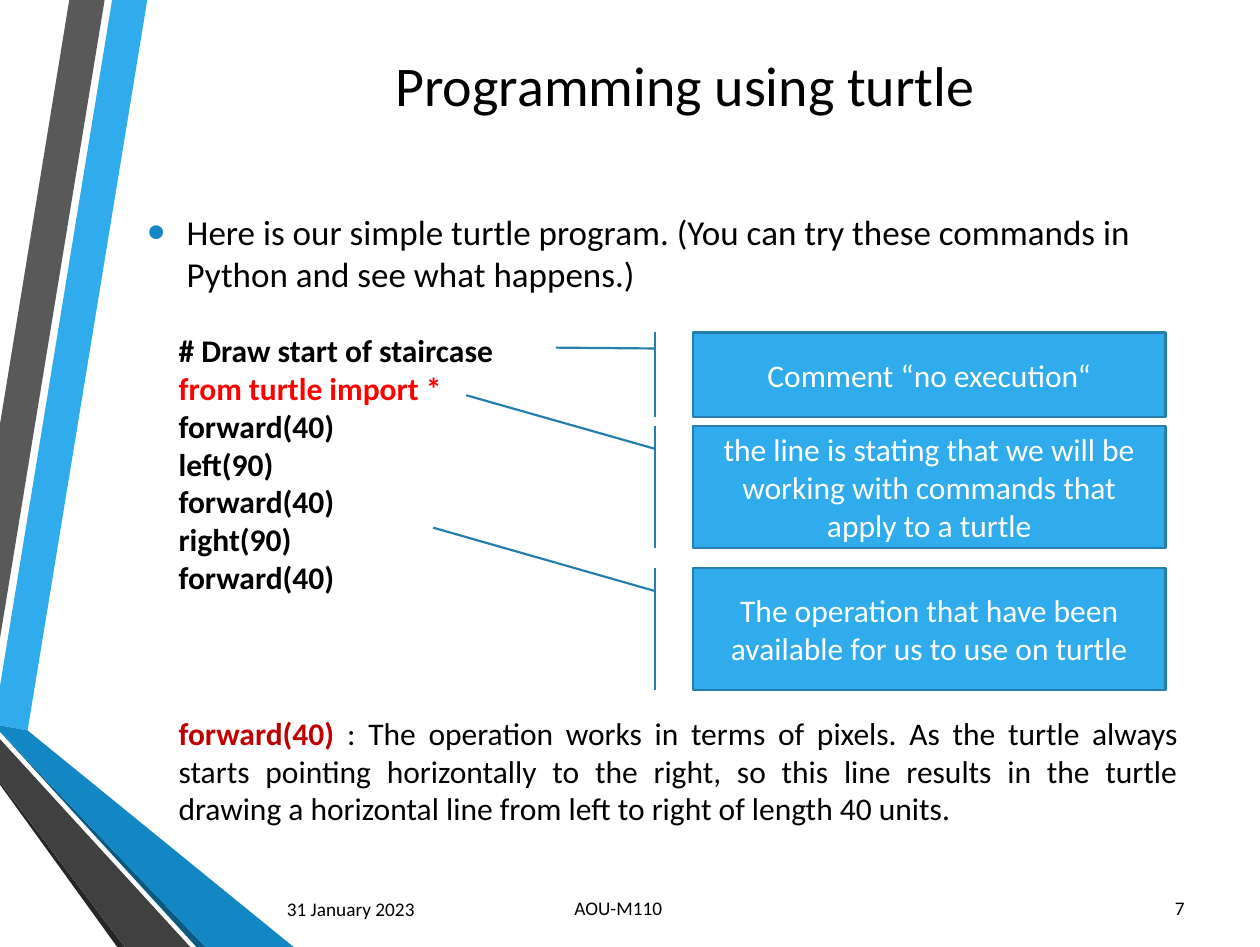
from lxml.etree import SubElement
from pptx import Presentation
from pptx.dml.color import RGBColor
from pptx.enum.shapes import MSO_SHAPE
from pptx.enum.text import MSO_ANCHOR, MSO_AUTO_SIZE, PP_ALIGN
from pptx.oxml.ns import qn
from pptx.util import Pt

BLACK = RGBColor(0x00, 0x00, 0x00)
WHITE = RGBColor(0xFF, 0xFF, 0xFF)
RED = RGBColor(0xFF, 0x00, 0x00)
DARK_RED = RGBColor(0xC0, 0x00, 0x00)
SKY = RGBColor(0x30, 0xAC, 0xEC)
BLUE = RGBColor(0x12, 0x87, 0xC3)
NAVY = RGBColor(0x0C, 0x5A, 0x82)
OUTLINE = RGBColor(0x24, 0x7F, 0xAF)
GREY = RGBColor(0x59, 0x59, 0x59)
CHARCOAL = RGBColor(0x40, 0x40, 0x40)
SOOT = RGBColor(0x26, 0x26, 0x26)

RIBBONS = [
    (SKY, [(0, 392.4), (0, 414.7), (15.8, 417.6), (84.2, 0), (64.1, 0)]),
    (GREY, [(59.8, 0), (39.6, 0), (0, 242.6), (0, 365)]),
    (SOOT, [(0, 447.1), (0, 448.6), (67, 541.4), (71.3, 541.4)]),
    (NAVY, [(0, 418.3), (112.3, 541.4), (117.4, 541.4)]),
    (BLUE, [(0, 418.3), (117.4, 541.4), (167.8, 541.4), (15.8, 417.6), (0, 414.7)]),
    (CHARCOAL, [(0, 447.1), (71.3, 541.4), (108.7, 541.4), (0, 422.6)]),
]
CALLOUTS = [
    (190.1, 48.2, 0.18, -0.29, "Comment “no execution“"),
    (243.4, 69.8, -0.25, -0.48,
     "the line is stating that we will be working with commands that apply to a turtle"),
    (324.7, 69.8, -0.33, -0.55,
     "The operation that have been available for us to use on turtle"),
]
CODE = ["# Draw start of staircase", "from turtle import *", "forward(40)", "left(90)",
        "forward(40)", "right(90)", "forward(40)"]
FOOTERS = [
    (650.2, 504.7, 33.8, PP_ALIGN.RIGHT, "7"),
    (139, 505.4, 105.1, PP_ALIGN.RIGHT, "31 January 2023"),
    (321.1, 504.7, 80.6, PP_ALIGN.LEFT, "AOU-M110"),
]


def add_run(p, text, size, color=BLACK, bold=False):
    """Add one formatted run to a paragraph."""
    r = p.add_run()
    r.text = text
    r.font.name = "Calibri"
    r.font.size = Pt(size)
    r.font.bold = bold
    r.font.color.rgb = color


def place(sp, left, top, width, height):
    """Position a shape, in points."""
    sp.left, sp.top, sp.width, sp.height = Pt(left), Pt(top), Pt(width), Pt(height)


def add_ribbon(s, color, points):
    """Draw one filled polygon of the side decoration."""
    corners = [(Pt(x), Pt(y)) for x, y in points]
    fb = s.shapes.build_freeform(*corners[0])
    fb.add_line_segments(corners[1:], close=True)
    sp = fb.convert_to_shape()
    sp.shadow.inherit = False
    sp.fill.solid()
    sp.fill.fore_color.rgb = color
    sp.line.fill.background()


def fill_title(sp, text):
    """Place and fill the title placeholder."""
    place(sp, 77, 8.6, 629.3, 79.2)
    tf = sp.text_frame
    tf.auto_size = MSO_AUTO_SIZE.NONE
    tf.vertical_anchor = MSO_ANCHOR.MIDDLE
    p = tf.paragraphs[0]
    p.alignment = PP_ALIGN.CENTER
    add_run(p, text, 32)


def fill_body(sp, text):
    """Place and fill the body placeholder with one bulleted paragraph."""
    place(sp, 77, 117, 607, 87)
    tf = sp.text_frame
    tf.auto_size = MSO_AUTO_SIZE.NONE
    tf.vertical_anchor = MSO_ANCHOR.TOP
    p = tf.paragraphs[0]
    p.space_before, p.space_after = Pt(0), Pt(6)
    add_run(p, text, 20)
    pPr = p._p.get_or_add_pPr()
    pPr.set("marL", str(Pt(22.5)))
    pPr.set("indent", str(-Pt(22.5)))
    color = SubElement(pPr, qn("a:buClr"))
    SubElement(color, qn("a:srgbClr"), val=str(BLUE))
    SubElement(pPr, qn("a:buSzPct"), val="145000")
    SubElement(pPr, qn("a:buFont"), typeface="Arial")
    SubElement(pPr, qn("a:buChar"), char="•")


def add_text_box(s, left, top, width, height):
    """Add a wrapping text box and return its text frame."""
    tf = s.shapes.add_textbox(Pt(left), Pt(top), Pt(width), Pt(height)).text_frame
    tf.word_wrap = True
    return tf


def add_callout(s, top, height, tip_y, tip_x, text):
    """Add a callout box with an accent bar and a leader line."""
    sp = s.shapes.add_shape(MSO_SHAPE.LINE_CALLOUT_1_BORDER_AND_ACCENT_BAR,
                            Pt(396), Pt(top), Pt(270), Pt(height))
    for i, value in enumerate((0.19, -0.08, tip_y, tip_x)):
        sp.adjustments[i] = value
    sp.shadow.inherit = False
    sp.fill.solid()
    sp.fill.fore_color.rgb = SKY
    sp.line.color.rgb = OUTLINE
    sp.line.width = Pt(1.25)
    tf = sp.text_frame
    tf.word_wrap = True
    tf.vertical_anchor = MSO_ANCHOR.MIDDLE
    p = tf.paragraphs[0]
    p.alignment = PP_ALIGN.CENTER
    add_run(p, text, 18, WHITE)


def add_code(s):
    """Add the program listing, with the import line in red."""
    tf = add_text_box(s, 95, 185.8, 360, 159.8)
    for i, line in enumerate(CODE):
        p = tf.add_paragraph() if i else tf.paragraphs[0]
        add_run(p, line, 18, RED if line.startswith("from") else BLACK, True)


def add_explanation(s):
    """Add the justified note on the forward command."""
    p = add_text_box(s, 95, 404.6, 585.4, 72.7).paragraphs[0]
    p.alignment = PP_ALIGN.JUSTIFY
    add_run(p, "forward(40) ", 18, DARK_RED, True)
    add_run(p, ": The operation works in terms of pixels. As the turtle always starts "
               "pointing horizontally to the right, so this line results in the turtle "
               "drawing a horizontal line from left to right of length 40 units.", 18)


def add_footer(s, left, top, width, align, text):
    """Add one small footer text."""
    tf = add_text_box(s, left, top, width, 28.8)
    tf.vertical_anchor = MSO_ANCHOR.MIDDLE
    p = tf.paragraphs[0]
    p.alignment = align
    add_run(p, text, 11)


def main():
    """Build and save the slide."""
    prs = Presentation()
    prs.slide_width, prs.slide_height = Pt(720), Pt(541.4)
    s = prs.slides.add_slide(prs.slide_layouts[1])
    for ribbon in RIBBONS:
        add_ribbon(s, *ribbon)
    fill_title(s.shapes.title, "Programming using turtle")
    fill_body(s.placeholders[1], "Here is our simple turtle program. (You can try these "
                                 "commands in Python and see what happens.)")
    add_explanation(s)
    for callout in CALLOUTS:
        add_callout(s, *callout)
    add_code(s)
    for footer in FOOTERS:
        add_footer(s, *footer)
    prs.save("out.pptx")


if __name__ == "__main__":
    main()
